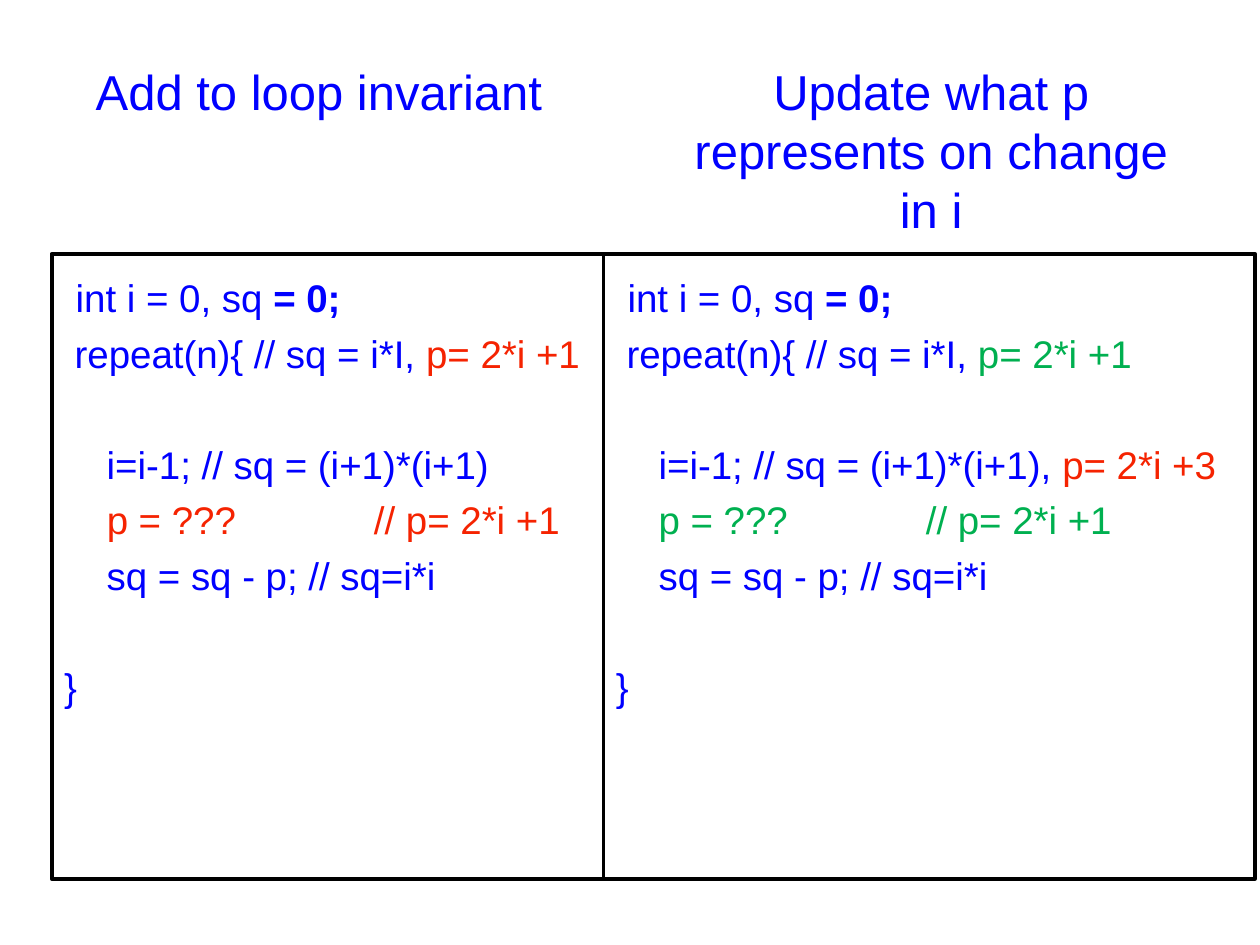
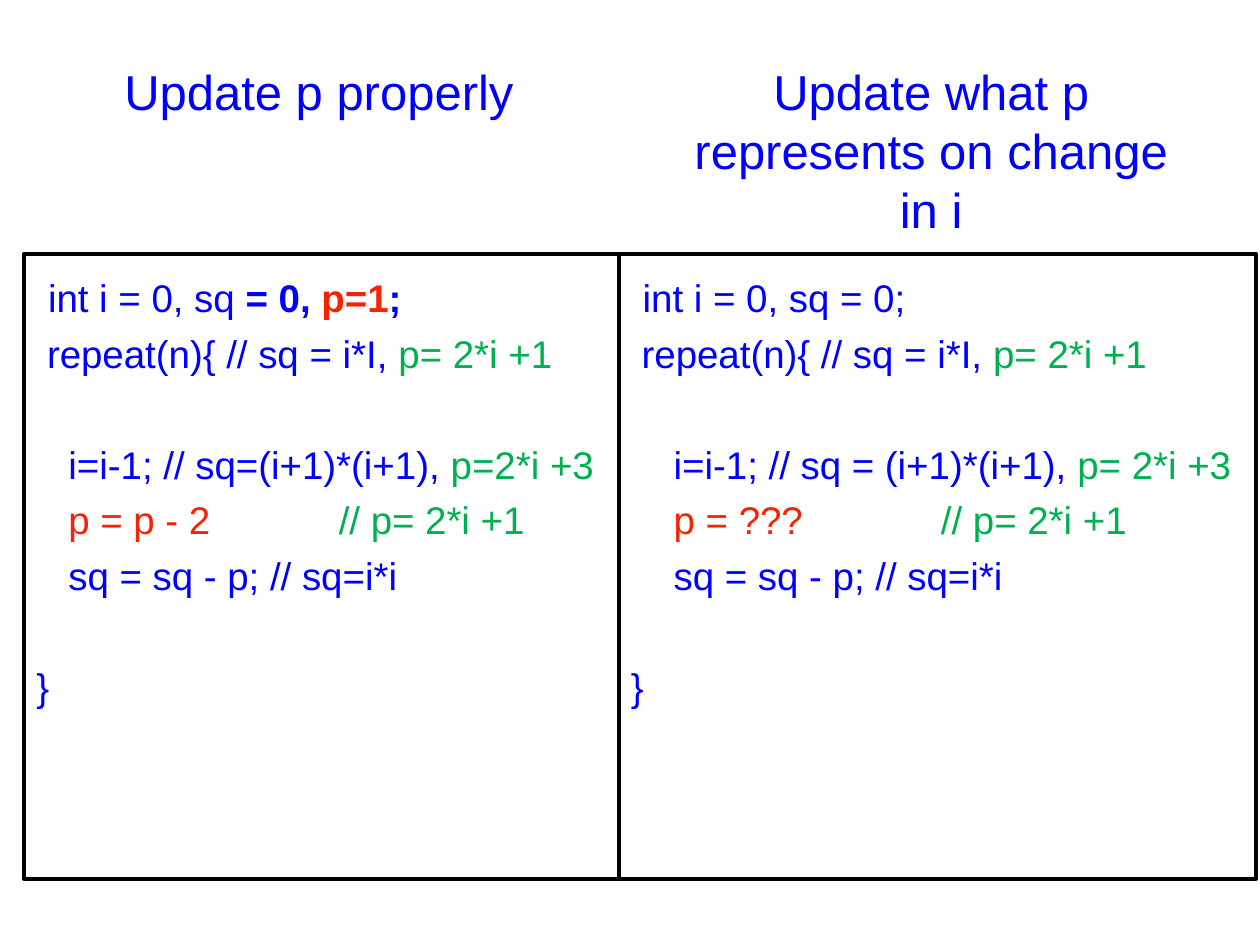
from typing import NamedTuple

from pptx import Presentation
from pptx.dml.color import RGBColor
from pptx.enum.shapes import MSO_SHAPE as Shape
from pptx.enum.text import MSO_ANCHOR as Anchor, MSO_AUTO_SIZE as Fit, PP_ALIGN as Align
from pptx.oxml.ns import qn
from pptx.util import Inches, Pt

BLUE, RED, GREEN, BLACK = "0000FF", "F52301", "00B050", "000000"
FONT = "Arial"
COLS, ROWS = 100, 75
WIDE, TALL = Inches(10), Inches(7.5)
HEAD_TOP, HEAD_WIDE, HEAD_LEFT = 4.4, 42.8, (3.9, 52.5)
BOX_TOP, BOX_TALL = 20.15, 49.6
GAP = 31.8
FRAME = dict(margin_left=Inches(0.1), margin_right=Inches(0.1),
             margin_top=Inches(0.05), margin_bottom=Inches(0.05),
             word_wrap=True, auto_size=Fit.NONE, vertical_anchor=Anchor.TOP)


class Bit(NamedTuple):
    text: str
    tone: str = BLUE
    bold: bool = False
    size: float = 22


class Line(NamedTuple):
    bits: list[Bit]
    gap: float = 0
    tab: float = 0


class Panel(NamedTuple):
    head: str
    left: float
    wide: float
    start: list[Bit]
    loop: str
    step: str
    after: Bit
    guess: str
    tones: tuple[str, str]
    pad: int = 4
    tab: float = 2.46

    def lines(self) -> list[Line]:
        pad = " " * self.pad
        return [
            Line([Bit(" ", size=24), *self.start]),
            Line([Bit(" repeat(n){ // sq = i*I, "), Bit("p= 2*i +1", self.loop)]),
            Line([Bit(pad + self.step), self.after], GAP),
            Line([Bit(pad), Bit(self.guess + "\t", self.tones[0]),
                  Bit("// p= 2*i +1", self.tones[1])], tab=self.tab),
            Line([Bit(pad + "sq = sq - p; // sq=i*i")]),
            Line([Bit("}")], GAP),
        ]


ZERO = [Bit("int i = 0, sq "), Bit("= 0;", bold=True)]
STEP = "i=i-1; // sq = (i+1)*(i+1)"
CHANGE = "Update what p represents on change in i"
PAGES = [
    [Panel("Add to loop invariant", 4.1, 43.8, ZERO, RED, STEP, Bit(""),
           "p = ???", (RED, RED)),
     Panel(CHANGE, 47.9, 51.7, ZERO, GREEN, STEP + ", ", Bit("p= 2*i +3", RED),
           "p = ???", (GREEN, GREEN))],
    [Panel("Update p properly", 1.9, 47.2,
           [Bit("int i = 0, sq "), Bit("= 0, ", bold=True),
            Bit("p=1", RED, True), Bit(";", bold=True)],
           GREEN, "i=i-1; // sq=(i+1)*(i+1), ", Bit("p=2*i +3", GREEN),
           "p = p - 2", (RED, GREEN), 3, 2.4),
     Panel(CHANGE, 49.1, 50.6, [Bit("int i = 0, sq = 0;")], GREEN,
           STEP + ", ", Bit("p= 2*i +3", GREEN), "p = ???", (RED, GREEN))],
]


def color(tone: str) -> RGBColor:
    return RGBColor.from_string(tone)


def grid(left: float, top: float, wide: float, tall: float) -> tuple[int, ...]:
    col, row = WIDE / COLS, TALL / ROWS
    return round(left * col), round(top * row), round(wide * col), round(tall * row)


def set_all(item, values: dict) -> None:
    for name, value in values.items():
        setattr(item, name, value)


def write(frame, lines: list[Line], align: Align, pitch: float) -> None:
    set_all(frame, FRAME)
    for index, line in enumerate(lines):
        para = frame.paragraphs[0] if index == 0 else frame.add_paragraph()
        set_all(para, dict(alignment=align, line_spacing=pitch,
                           space_before=Pt(line.gap), space_after=Pt(0)))
        if line.tab:
            tabs = para._p.get_or_add_pPr().makeelement(qn("a:tabLst"), {})
            tabs.append(tabs.makeelement(
                qn("a:tab"), {"pos": str(Inches(line.tab)), "algn": "l"}))
            para._p.pPr.append(tabs)
        for bit in filter(lambda part: part.text, line.bits):
            run = para.add_run()
            run.text = bit.text
            set_all(run.font, dict(name=FONT, size=Pt(bit.size), bold=bit.bold))
            run.font.color.rgb = color(bit.tone)


def draw_head(slide, panel: Panel, side: int) -> None:
    spot = grid(HEAD_LEFT[side], HEAD_TOP, HEAD_WIDE, 15 if side else 5.7)
    if side:
        box = slide.shapes.add_textbox(*spot)
    else:
        box = slide.shapes.title
        set_all(box, dict(zip(("left", "top", "width", "height"), spot)))
    write(box.text_frame, [Line([Bit(panel.head, size=28)])], Align.CENTER, 1.0)


def draw_code(slide, panel: Panel) -> None:
    box = slide.shapes.add_shape(
        Shape.RECTANGLE, *grid(panel.left, BOX_TOP, panel.wide, BOX_TALL))
    box.shadow.inherit = False
    box.fill.background()
    box.line.color.rgb = color(BLACK)
    box.line.width = Pt(2.25)
    write(box.text_frame, panel.lines(), Align.LEFT, 1.2)


def main() -> None:
    deck = Presentation()
    set_all(deck, dict(slide_width=WIDE, slide_height=TALL))
    for page in PAGES:
        slide = deck.slides.add_slide(deck.slide_layouts[5])
        for side, panel in enumerate(page):
            draw_head(slide, panel, side)
            draw_code(slide, panel)
    deck.save("out.pptx")


if __name__ == "__main__":
    main()
